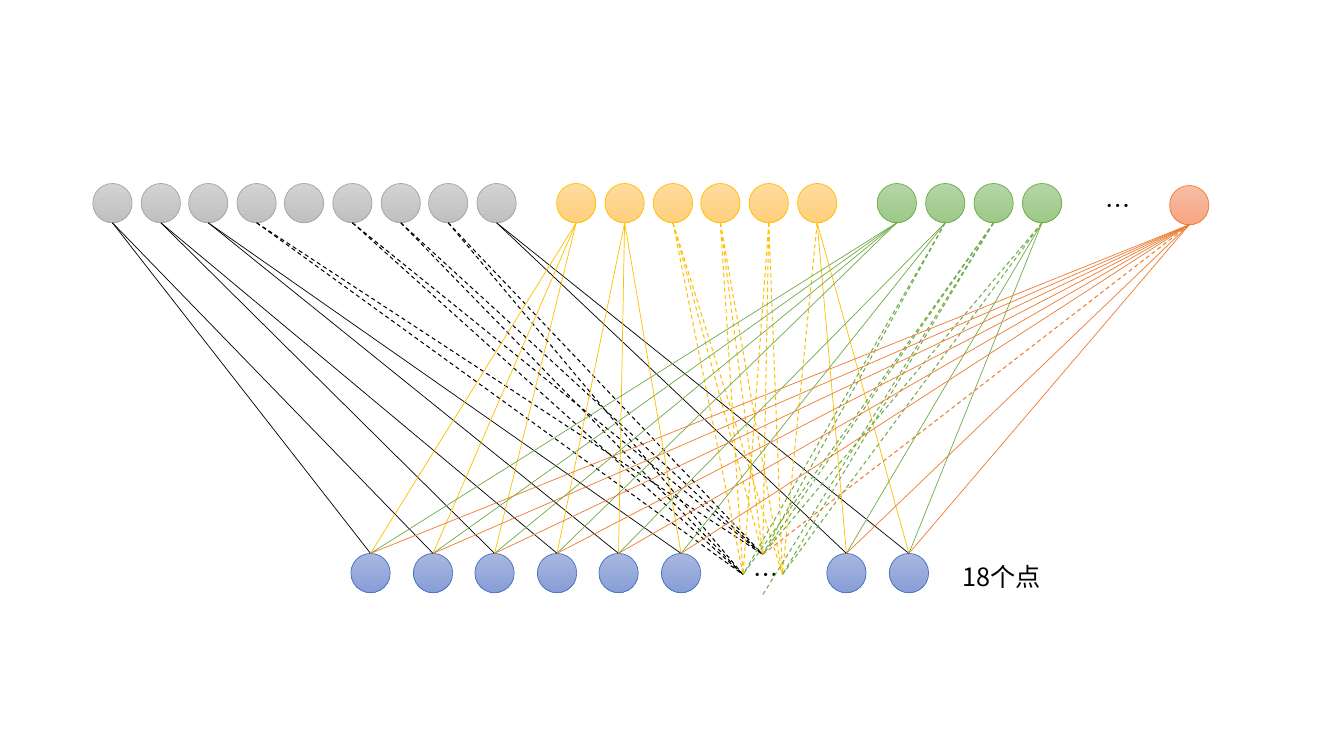
from dataclasses import dataclass

from lxml.etree import SubElement
from pptx import Presentation
from pptx.dml.color import RGBColor
from pptx.enum.dml import MSO_LINE
from pptx.enum.shapes import MSO_CONNECTOR, MSO_SHAPE
from pptx.enum.text import MSO_ANCHOR
from pptx.oxml.ns import qn
from pptx.util import Pt

PX = 9144
CIRCLE = 39
ELLIPSE_BOTTOM = 4
SIDES = {"top": 0, "left": 1, "bottom": 2, "right": 3}


@dataclass(frozen=True)
class Theme:
    font: str = "Noto Sans CJK SC"
    size: int = 18
    text: str = "000000"
    solid: float = 0.5
    dashed: float = 0.75
    blue: tuple = ("A8B7DF", "889ED7", "4472C4")
    gray: tuple = ("D2D2D2", "C0C0C0", "A5A5A5")
    yellow: tuple = ("FFDB9E", "FFD07C", "FFC000")
    green: tuple = ("B5D5A7", "9CC987", "70AD47")
    orange: tuple = ("F7BDA5", "F8A582", "ED7D31")


@dataclass(frozen=True)
class Box:
    left: int
    top: int
    width: int
    height: int


THEME = Theme()

BLACK_LINKS = [
    (1, 2), (3, 4), (5, 6), ("left", "top"), (),
    ("left", "top"), ("left", "top"), ("left", "top"), (17, 18),
]
YELLOW_LINKS = [
    (1, 2, 3), (4, 5, 6),
    ("top", "left", "right"), ("top", "left", "right"), ("top", "left", "right"),
    (17, "right", 18),
]
GREEN_LINKS = [
    (1, 2, 3, 4), (5, 6, "left", "top"),
    ("left", "top", "bottom", "right"), ("top", "right", 17, 18),
]
ORANGE_LINKS = [(1, 2, 3, 4, 5, 6, 17, 18, "top")]


def add_circle(page, left, top, palette):
    start, end, outline = palette
    circle = page.shapes.add_shape(
        MSO_SHAPE.OVAL, left * PX, top * PX, CIRCLE * PX, CIRCLE * PX)
    circle.shadow.inherit = False
    circle.fill.gradient()
    circle.fill.gradient_angle = 270
    for stop, color in zip(circle.fill.gradient_stops, (start, end)):
        stop.color.rgb = RGBColor.from_string(color)
    circle.line.color.rgb = RGBColor.from_string(outline)
    circle.line.width = Pt(THEME.solid)
    return circle


def add_row(page, box, count, palette):
    gap = (box.width - CIRCLE) / max(count - 1, 1)
    return [add_circle(page, box.left + round(index * gap), box.top, palette)
            for index in range(count)]


def add_label(page, box, text):
    label = page.shapes.add_textbox(
        box.left * PX, box.top * PX, box.width * PX, box.height * PX)
    frame = label.text_frame
    frame.word_wrap = True
    frame.vertical_anchor = MSO_ANCHOR.TOP
    frame.text = text
    for span in frame.paragraphs[0].runs:
        span.font.size = Pt(THEME.size)
        span.font.name = THEME.font
        span.font.color.rgb = RGBColor.from_string(THEME.text)
        east_asian = SubElement(span.font._element, qn("a:ea"))
        east_asian.set("typeface", THEME.font)
    return label


def add_link(page, source, target, side, color, dashed):
    start_x = source.left + source.width // 2
    start_y = source.top + source.height
    link = page.shapes.add_connector(
        MSO_CONNECTOR.STRAIGHT, start_x, start_y, target.left, target.top)
    start = SubElement(link._element.nvCxnSpPr.cNvCxnSpPr, qn("a:stCxn"))
    start.set("id", str(source.shape_id))
    start.set("idx", str(ELLIPSE_BOTTOM))
    link.end_connect(target, SIDES[side])
    link.line.color.rgb = RGBColor.from_string(color)
    link.line.width = Pt(THEME.dashed if dashed else THEME.solid)
    if dashed:
        link.line.dash_style = MSO_LINE.DASH
    SubElement(link._element.spPr, qn("a:effectLst"))


def draw_points(page, box):
    pair_left = box.left + 472
    left_points = add_row(page, Box(box.left, box.top, 347, CIRCLE), 6, THEME.blue)
    right_points = add_row(page, Box(pair_left, box.top, 101, CIRCLE), 2, THEME.blue)
    dots = add_label(page, Box(box.left + 389, box.top + 1, 39, 40), "…")
    add_label(page, Box(box.left + 597, box.top + 3, 105, 40), "18个点")
    points = dict(zip((1, 2, 3, 4, 5, 6, 17, 18), left_points + right_points))
    return points, dots


def draw_groups(page, box, points, dots):
    groups = [
        (0, 0, 420, THEME.gray, THEME.text, BLACK_LINKS),
        (460, 0, 278, THEME.yellow, THEME.yellow[2], YELLOW_LINKS),
        (778, 0, 183, THEME.green, THEME.green[2], GREEN_LINKS),
        (1068, 2, CIRCLE, THEME.orange, THEME.orange[2], ORANGE_LINKS),
    ]
    rows = [add_row(page, Box(box.left + left, box.top + top, width, CIRCLE),
                    len(links), palette)
            for left, top, width, palette, color, links in groups]
    add_label(page, Box(box.left + 995, box.top + 2, 39, 40), "…")
    for row, (left, top, width, palette, color, links) in zip(rows, groups):
        for circle, targets in zip(row, links):
            for target in targets:
                if target in SIDES:
                    add_link(page, circle, dots, target, color, True)
                else:
                    add_link(page, circle, points[target], "top", color, False)


def main():
    deck = Presentation()
    deck.slide_width = 1333 * PX
    deck.slide_height = 750 * PX
    page = deck.slides.add_slide(deck.slide_layouts[6])
    points, dots = draw_points(page, Box(348, 549, 702, 43))
    draw_groups(page, Box(92, 182, 1107, 42), points, dots)
    deck.save("out.pptx")


if __name__ == "__main__":
    main()
